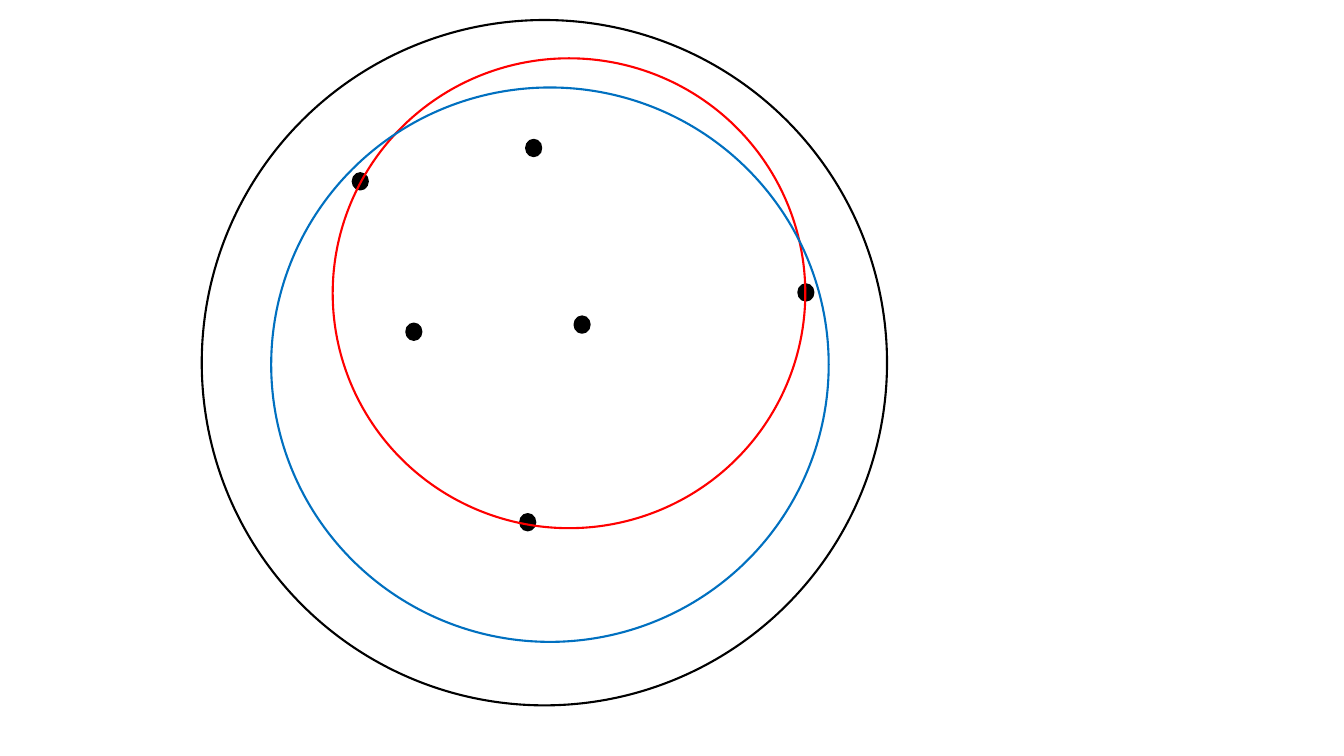
import pptx
import pptx.util
from pptx.dml.color import RGBColor
from pptx.enum.shapes import MSO_SHAPE
from pptx.util import Cm

BLACK = RGBColor(0x00, 0x00, 0x00)
RED = RGBColor(0xFF, 0x00, 0x00)
BLUE = RGBColor(0x00, 0x70, 0xC0)

# Circles: centre x, centre y, width, height (cm), line colour
OUTER = (13.72, 9.14, 17.27, 17.27, BLACK)
INNER = [
    (14.34, 7.39, 11.91, 11.84, RED),
    (13.86, 9.19, 14.05, 13.97, BLUE),
]

# Points: centre x, centre y (cm)
DOTS = [
    (9.08, 4.57),
    (13.45, 3.73),
    (10.43, 8.36),
    (14.67, 8.18),
    (13.3, 13.16),
    (20.31, 7.37),
]
DOT_W, DOT_H = 0.38, 0.41


def oval(slide, x, y, w, h, color, solid=False):
    """Draw an ellipse around its centre."""
    shape = slide.shapes.add_shape(
        MSO_SHAPE.OVAL, Cm(x - w / 2), Cm(y - h / 2), Cm(w), Cm(h))
    shape.shadow.inherit = False
    shape.line.color.rgb = color
    shape.line.width = pptx.util.Pt(1.5)
    if solid:
        shape.fill.solid()
        shape.fill.fore_color.rgb = color
    else:
        shape.fill.background()


def main():
    deck = pptx.Presentation()
    deck.slide_width, deck.slide_height = Cm(33.87), Cm(19.05)
    slide = deck.slides.add_slide(deck.slide_layouts[6])

    # Outer circle, then the points, then the circles over them
    oval(slide, *OUTER)
    for x, y in DOTS:
        oval(slide, x, y, DOT_W, DOT_H, BLACK, solid=True)
    for ring in INNER:
        oval(slide, *ring)

    deck.save("out.pptx")


if __name__ == "__main__":
    main()
